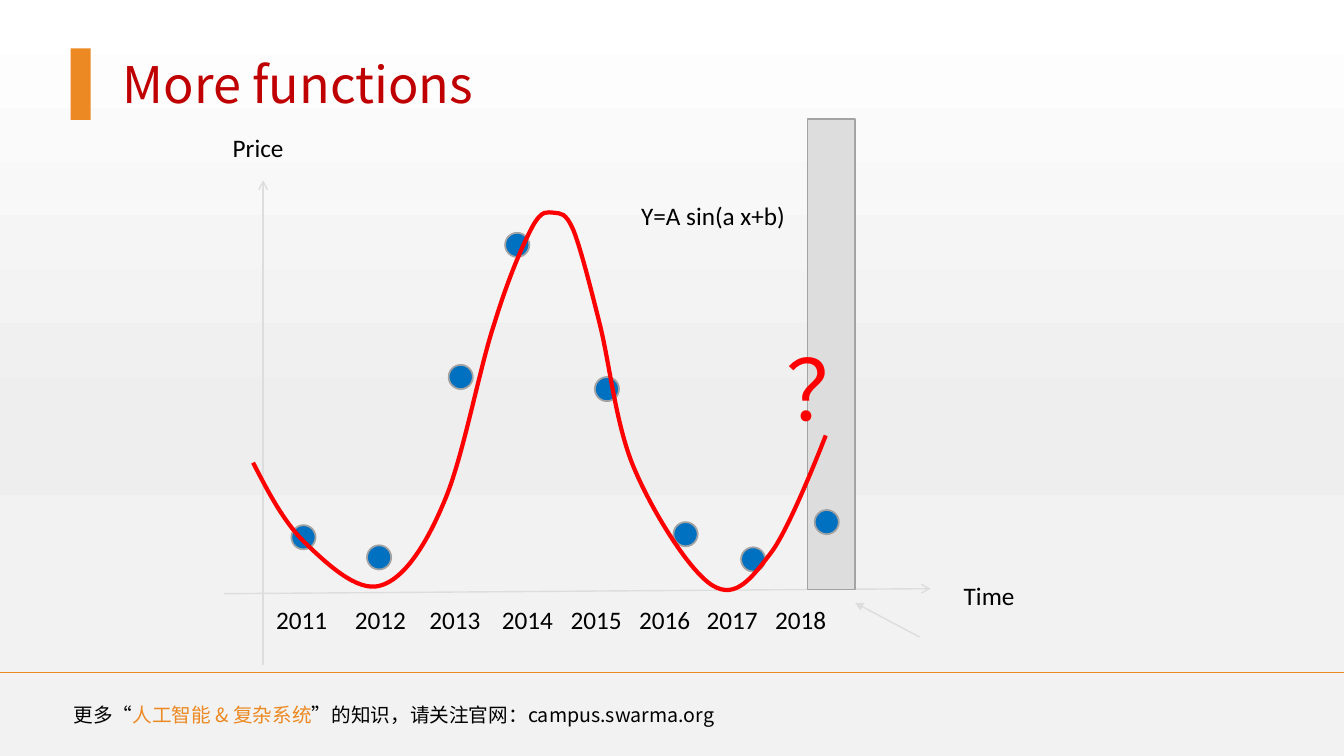
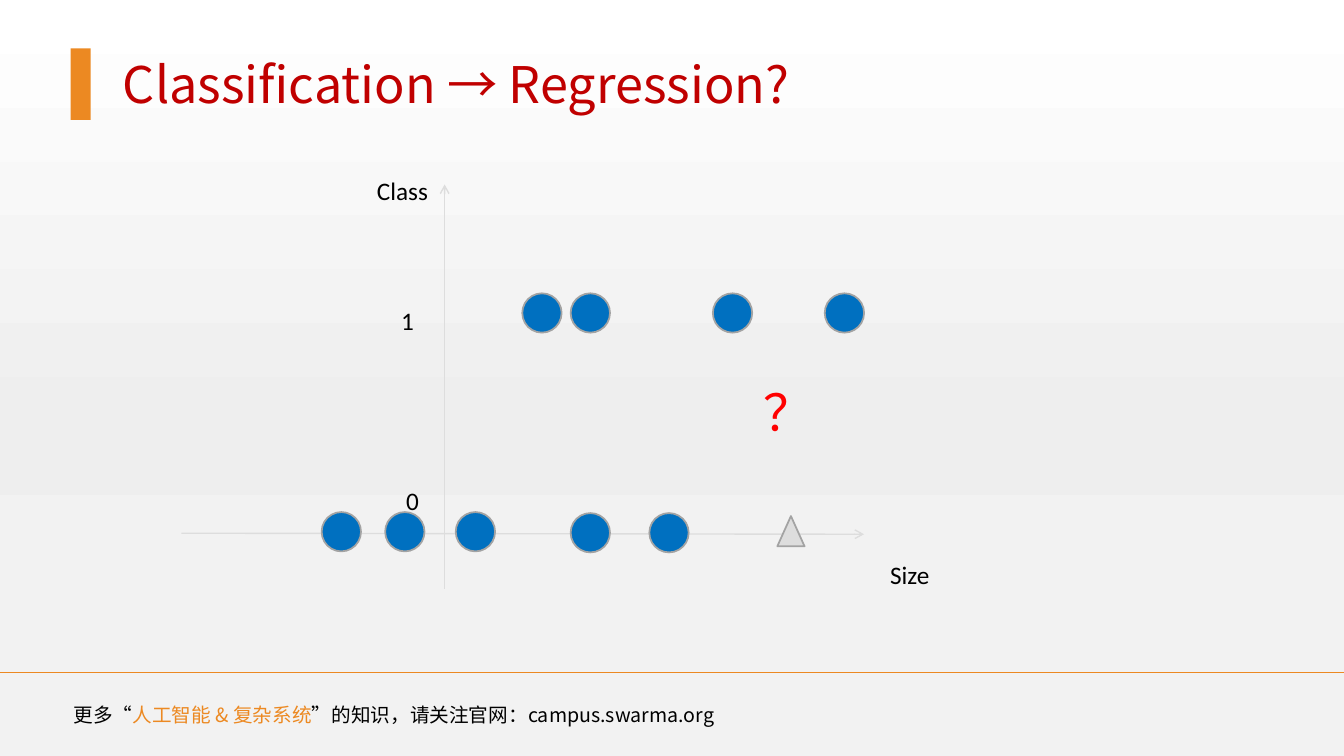
"""Build two slides on fitting functions to points, in a shared course style."""
from dataclasses import dataclass
from typing import Any

import lxml.etree
import pptx
import pptx.dml.color
import pptx.enum.shapes
import pptx.enum.text
import pptx.oxml.ns
import pptx.util

PIXEL = 9144
WIDTH, HEIGHT = 1333, 750
COLORS = {
    "title": "C00000",
    "accent": "EC8922",
    "text": "000000",
    "red": "FF0000",
    "dot": "0070C0",
    "gray": "DDDDDD",
    "outline": "A3A3A3",
}
BACKDROP_STOPS = [(0, "FFFFFF"), (57, "EEEEEE"), (74, "F2F2F2"), (100, "F2F2F2")]
HEADING_FONT = "Noto Sans CJK SC"
LABEL_FONT = "Calibri"
SHAPES = pptx.enum.shapes.MSO_SHAPE

Point = tuple[int, int]


@dataclass(frozen=True)
class Label:
    text: str
    left: int
    top: int
    width: int
    height: int = 40
    size: int = 18
    color: str = "text"
    font: str = LABEL_FONT
    tabs: tuple[int, ...] = ()
    wrap: bool = True


@dataclass(frozen=True)
class Line:
    start: Point
    end: Point
    head: str = "arrow"
    color: str = "gray"


@dataclass(frozen=True)
class Figure:
    kind: Any
    left: int
    top: int
    width: int
    height: int
    fill: str = "gray"
    outline: str | None = "outline"


@dataclass(frozen=True)
class Curve:
    start: Point
    segments: tuple[tuple[Point, Point, Point], ...]
    height: int


def make_dots(size: int, positions: list[Point]) -> list[Figure]:
    return [Figure(SHAPES.OVAL, left, top, size, size, "dot") for left, top in positions]


QUESTION_MARK = "？"
FOOTER_PARTS = [
    ("更多“", "text"),
    ("人工智能 & 复杂系统", "accent"),
    ("”的知识，请关注官网：campus.swarma.org", "text"),
]
TITLE_BAR = Figure(SHAPES.RECTANGLE, 70, 48, 20, 71, "accent", None)
FOOTER_RULE = Line((-30, 667), (1361, 667), "triangle", "accent")

YEARS = "\t".join(str(year) for year in range(2011, 2019))
YEAR_TABS = (78, 152, 224, 292, 360, 427, 495)
PRICE_DOTS = [
    (289, 521), (364, 541), (445, 362), (501, 231),
    (590, 374), (668, 518), (735, 543), (808, 506),
]
SINE_CURVE = Curve(
    (251, 459),
    (
        ((266, 488), (281, 517), (302, 538)),
        ((323, 558), (354, 588), (377, 581)),
        ((400, 575), (422, 542), (440, 499)),
        ((459, 456), (475, 367), (490, 322)),
        ((504, 276), (518, 244), (528, 225)),
        ((538, 207), (543, 211), (549, 211)),
        ((556, 212), (561, 210), (569, 229)),
        ((576, 247), (585, 282), (595, 322)),
        ((605, 362), (611, 424), (630, 467)),
        ((649, 511), (685, 568), (707, 581)),
        ((730, 595), (746, 573), (765, 548)),
        ((784, 523), (819, 432), (819, 432)),
    ),
    375,
)
FUNCTIONS_SCENE = [
    Line((222, 589), (923, 584)),
    Line((261, 660), (261, 179)),
    Label("Time", 946, 571, 118),
    Label("Price", 221, 126, 98),
    Figure(SHAPES.RECTANGLE, 801, 118, 47, 467),
    Line((912, 632), (848, 598), "triangle"),
    Label(QUESTION_MARK, 770, 330, 62, 111, 60, "red"),
    *make_dots(24, PRICE_DOTS),
    SINE_CURVE,
    Label("Y=A sin(a x+b)", 626, 194, 175),
    Label(YEARS, 264, 595, 632, tabs=YEAR_TABS),
]

CLASS_DOT_SIZE = 39
RIGHT_DOTS = [
    (452, 508), (566, 509), (644, 509),
    (566, 291), (518, 291), (707, 291), (818, 291),
]
LEFT_DOTS = [(382, 508), (319, 508)]
CLASSIFICATION_SCENE = [
    Line((180, 529), (857, 530)),
    Line((441, 584), (441, 183)),
    *make_dots(CLASS_DOT_SIZE, RIGHT_DOTS),
    Label("Size", 873, 550, 60, wrap=False),
    Label("1", 388, 298, 33, wrap=False),
    Label("0", 393, 477, 33, wrap=False),
    *make_dots(CLASS_DOT_SIZE, LEFT_DOTS),
    Figure(SHAPES.ISOSCELES_TRIANGLE, 771, 512, 27, 30),
    Label(QUESTION_MARK, 747, 373, 71, 71, 36, "red"),
    Label("Class", 364, 169, 71, wrap=False),
]


def rgb(name: str) -> pptx.dml.color.RGBColor:
    return pptx.dml.color.RGBColor.from_string(COLORS[name])


def add_child(parent: Any, tag: str, **attributes: str) -> Any:
    return lxml.etree.SubElement(parent, pptx.oxml.ns.qn(tag), attributes)


def add_backdrop(slide: Any) -> None:
    shape = slide.shapes.add_shape(
        SHAPES.RECTANGLE, 0, 0, WIDTH * PIXEL, HEIGHT * PIXEL
    )
    shape.shadow.inherit = False
    shape.line.fill.background()
    shape.fill.gradient()
    shape.fill.gradient_angle = 270
    stops = shape.element.spPr.find(".//" + pptx.oxml.ns.qn("a:gsLst"))
    for stop in list(stops):
        stops.remove(stop)
    for percent, color in BACKDROP_STOPS:
        stop = add_child(stops, "a:gs", pos=str(percent * 1000))
        add_child(stop, "a:srgbClr", val=color)


def format_run(run: Any, size: int, color: str, font: str) -> None:
    run.font.size = pptx.util.Pt(size)
    run.font.name = font
    run.font.color.rgb = rgb(color)
    add_child(run._r.get_or_add_rPr(), "a:ea", typeface=HEADING_FONT)


def add_label(slide: Any, label: Label) -> Any:
    box = slide.shapes.add_textbox(
        label.left * PIXEL, label.top * PIXEL, label.width * PIXEL, label.height * PIXEL
    )
    box.text_frame.word_wrap = label.wrap
    box.text_frame.auto_size = pptx.enum.text.MSO_AUTO_SIZE.SHAPE_TO_FIT_TEXT
    box.text_frame.text = label.text
    paragraph = box.text_frame.paragraphs[0]
    if label.tabs:
        tab_list = add_child(paragraph._p.get_or_add_pPr(), "a:tabLst")
        for position in label.tabs:
            add_child(tab_list, "a:tab", pos=str(position * PIXEL), algn="l")
    for run in paragraph.runs:
        format_run(run, label.size, label.color, label.font)
    return paragraph


def add_line(slide: Any, line: Line) -> None:
    connector = slide.shapes.add_connector(
        pptx.enum.shapes.MSO_CONNECTOR.STRAIGHT,
        *(value * PIXEL for value in line.start + line.end),
    )
    connector.line.color.rgb = rgb(line.color)
    connector.line.width = pptx.util.Pt(1)
    properties = connector.element.spPr
    add_child(properties.find(pptx.oxml.ns.qn("a:ln")), "a:tailEnd", type=line.head)
    add_child(properties, "a:effectLst")


def add_figure(slide: Any, figure: Figure) -> None:
    shape = slide.shapes.add_shape(
        figure.kind,
        figure.left * PIXEL,
        figure.top * PIXEL,
        figure.width * PIXEL,
        figure.height * PIXEL,
    )
    shape.shadow.inherit = False
    shape.fill.solid()
    shape.fill.fore_color.rgb = rgb(figure.fill)
    if figure.outline:
        shape.line.color.rgb = rgb(figure.outline)
        shape.line.width = pptx.util.Pt(1.25)
    else:
        shape.line.fill.background()


def add_curve(slide: Any, curve: Curve) -> None:
    builder = slide.shapes.build_freeform(*curve.start, scale=PIXEL)
    builder.add_line_segments([segment[-1] for segment in curve.segments], close=False)
    shape = builder.convert_to_shape()
    left, top = shape.left // PIXEL, shape.top // PIXEL
    shape.height = curve.height * PIXEL
    outline = shape.element.spPr.find(".//" + pptx.oxml.ns.qn("a:path"))
    outline.set("h", str(curve.height))
    for straight in outline.findall(pptx.oxml.ns.qn("a:lnTo")):
        outline.remove(straight)
    for segment in curve.segments:
        bend = add_child(outline, "a:cubicBezTo")
        for x, y in segment:
            add_child(bend, "a:pt", x=str(x - left), y=str(y - top))
    shape.shadow.inherit = False
    shape.fill.background()
    shape.line.color.rgb = rgb("red")
    shape.line.width = pptx.util.Pt(3)


DRAWERS = {Label: add_label, Line: add_line, Figure: add_figure, Curve: add_curve}


def add_course_slide(presentation: Any, title: str, scene: list[Any]) -> None:
    slide = presentation.slides.add_slide(presentation.slide_layouts[6])
    add_backdrop(slide)
    add_label(slide, Label(title, 112, 48, 802, 71, 36, "title", HEADING_FONT))
    add_figure(slide, TITLE_BAR)
    add_line(slide, FOOTER_RULE)
    footer = add_label(slide, Label("", 63, 692, 785, 34))
    for text, color in FOOTER_PARTS:
        run = footer.add_run()
        run.text = text
        format_run(run, 14, color, HEADING_FONT)
    for item in scene:
        DRAWERS[type(item)](slide, item)


def main() -> None:
    presentation = pptx.Presentation()
    presentation.slide_width = WIDTH * PIXEL
    presentation.slide_height = HEIGHT * PIXEL
    add_course_slide(presentation, "More functions", FUNCTIONS_SCENE)
    add_course_slide(presentation, "Classification → Regression?", CLASSIFICATION_SCENE)
    presentation.save("out.pptx")


if __name__ == "__main__":
    main()
